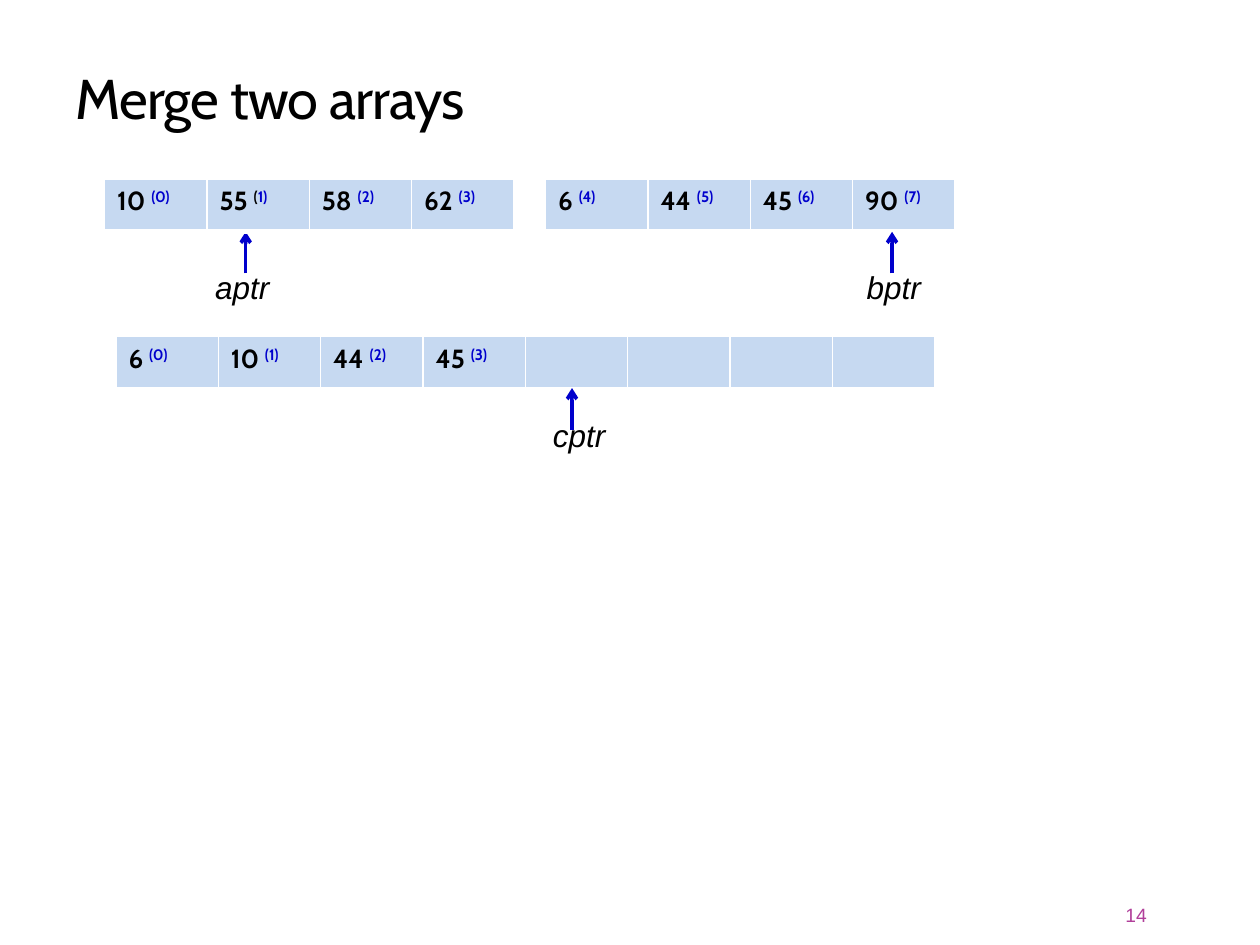
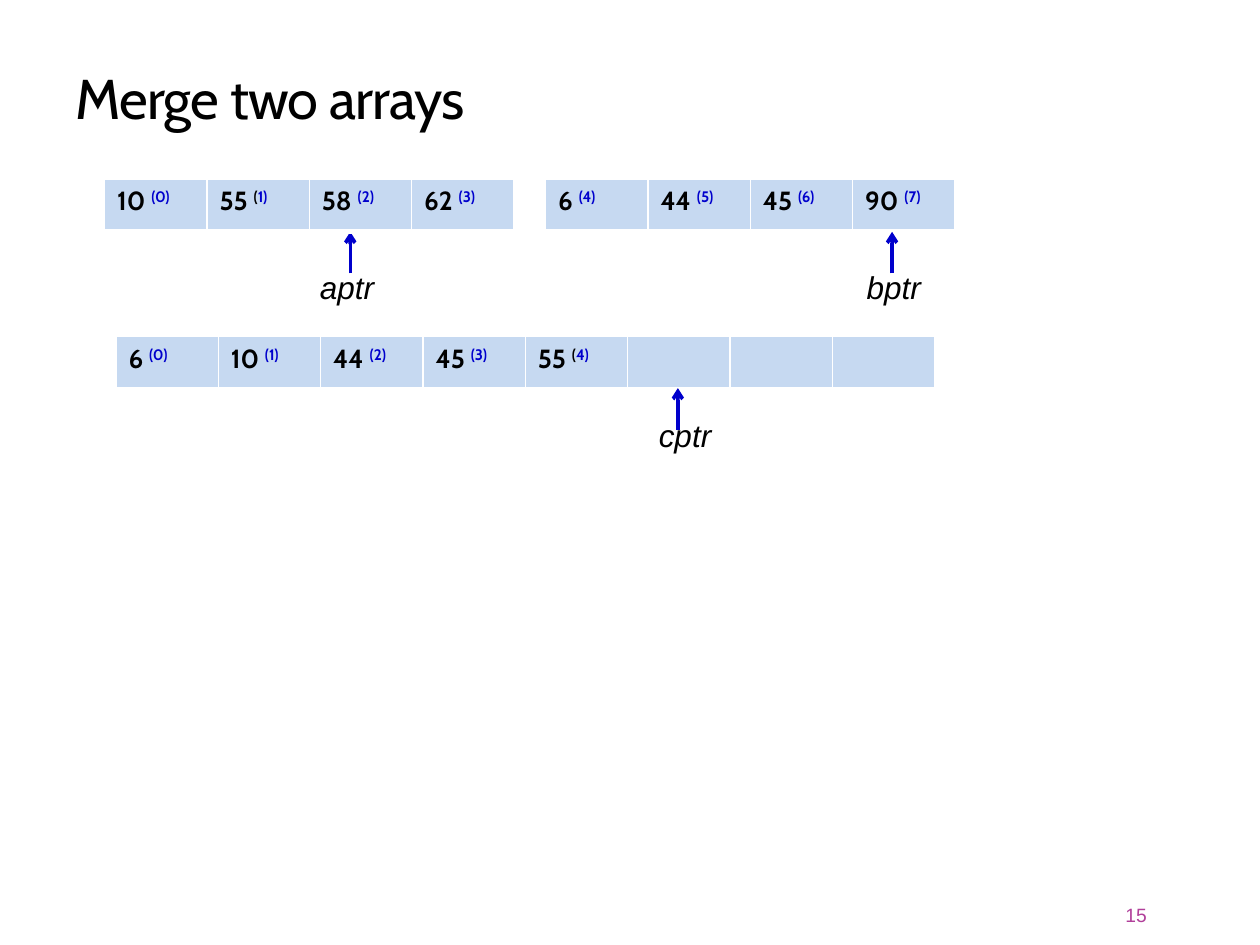
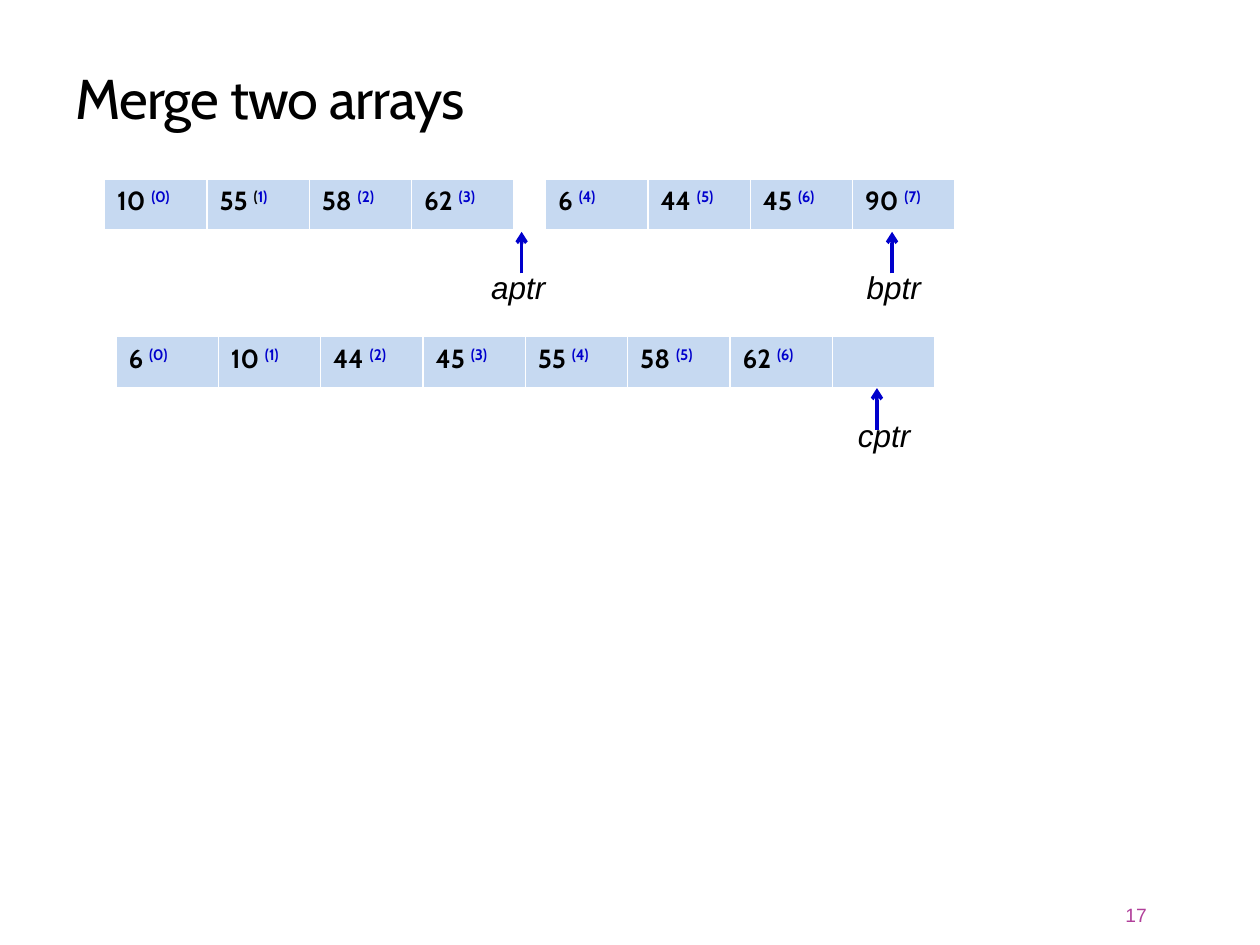
import pptx
import pptx.dml.color
import pptx.enum.shapes
import pptx.enum.text
import pptx.oxml.ns
import pptx.util
from lxml import etree

Inches = pptx.util.Inches
Pt = pptx.util.Pt
RGBColor = pptx.dml.color.RGBColor
qn = pptx.oxml.ns.qn
MSO_ANCHOR = pptx.enum.text.MSO_ANCHOR
PP_ALIGN = pptx.enum.text.PP_ALIGN

BLACK = RGBColor(0x00, 0x00, 0x00)
WHITE = RGBColor(0xFF, 0xFF, 0xFF)
BLUE = RGBColor(0x00, 0x00, 0xCC)
CELL_BLUE = RGBColor(0xC6, 0xD9, 0xF1)
PAGE_PINK = RGBColor(0xB1, 0x3F, 0x9A)
HEADING_FONT = "Cabin"
LABEL_FONT = "Arial"

CELL_WIDTH = 6.5 / 8
CELL_HEIGHT = 0.42
ARROW_LENGTH = 0.33
BORDER_WIDTHS = {"a:lnL": 1, "a:lnR": 1, "a:lnT": 1, "a:lnB": 3}

FIRST_ARRAY = [10, 55, 58, 62]
SECOND_ARRAY = [6, 44, 45, 90]
MERGED_ARRAY = [6, 10, 44, 45, 55, 58, 62]
MERGED_SLOTS = 8

# page, aptr x, cptr x, merged count, merged indexes with a dark bracket
STEPS = [
    (14, 1.95, 4.54, 4, ()),
    (15, 2.78, 5.38, 5, (4,)),
    (17, 4.14, 6.96, 7, ()),
]


def style_run(run, size, font_name, color):
    run.font.size = Pt(size)
    run.font.name = font_name
    run.font.color.rgb = color


def add_text(slide, text, left, top, width, height, size, font_name, color, wrap=True):
    box = slide.shapes.add_textbox(Inches(left), Inches(top), Inches(width), Inches(height))
    box.text_frame.text = text
    box.text_frame.word_wrap = wrap
    paragraph = box.text_frame.paragraphs[0]
    style_run(paragraph.runs[0], size, font_name, color)
    return box.text_frame, paragraph


def add_title(slide, text):
    text_frame, paragraph = add_text(slide, text, 0.5, 0.17, 7.92, 0.92, 32, HEADING_FONT, BLACK)
    text_frame.vertical_anchor = MSO_ANCHOR.BOTTOM
    paragraph.line_spacing = 0.85
    paragraph.runs[0].font._element.set("spc", "-50")


def add_page_number(slide, number):
    text_frame, paragraph = add_text(
        slide, str(number), 8.12, 7.06, 1.08, 0.4, 11, LABEL_FONT, PAGE_PINK)
    text_frame.vertical_anchor = MSO_ANCHOR.MIDDLE
    paragraph.alignment = PP_ALIGN.RIGHT


def style_cell(cell):
    properties = cell._tc.get_or_add_tcPr()
    for tag, width in BORDER_WIDTHS.items():
        border = etree.SubElement(properties, qn(tag), w=str(Pt(width)))
        fill = etree.SubElement(border, qn("a:solidFill"))
        etree.SubElement(fill, qn("a:srgbClr"), val=str(WHITE))
    cell.fill.solid()
    cell.fill.fore_color.rgb = CELL_BLUE


def write_cell(cell, value, index, dark_bracket):
    paragraph = cell.text_frame.paragraphs[0]
    parts = [(f"{value} ", BLACK, False)]
    if dark_bracket:
        parts += [("(", BLACK, True), (f"{index})", BLUE, True)]
    else:
        parts.append((f"({index})", BLUE, True))
    for text, color, raised in parts:
        run = paragraph.add_run()
        run.text = text
        style_run(run, 15, HEADING_FONT, color)
        run.font.bold = True
        if raised:
            run.font._element.set("baseline", "30000")


def add_array(slide, left, top, values, slots, first_index=0, dark_indexes=()):
    frame = slide.shapes.add_table(
        1, slots, Inches(left), Inches(top), Inches(slots * CELL_WIDTH), Inches(CELL_HEIGHT))
    table = frame.table
    table.first_row = False
    table.horz_banding = False
    for column in range(slots):
        style_cell(table.cell(0, column))
    for column, value in enumerate(values):
        index = first_index + column
        write_cell(table.cell(0, column), value, index, index in dark_indexes)


def add_pointer(slide, name, x, tip, label_offset, label_top, label_width):
    arrow = slide.shapes.add_connector(
        pptx.enum.shapes.MSO_CONNECTOR.STRAIGHT,
        Inches(x), Inches(tip + ARROW_LENGTH), Inches(x), Inches(tip))
    arrow.line.color.rgb = BLUE
    arrow.line.width = Pt(2)
    etree.SubElement(arrow.line._get_or_add_ln(), qn("a:tailEnd"), type="arrow")
    etree.SubElement(arrow._element.spPr, qn("a:effectLst"))
    text_frame, paragraph = add_text(
        slide, name, x - label_offset, label_top, label_width, 0.4, 18, LABEL_FONT, BLACK, wrap=False)
    paragraph.runs[0].font.italic = True


def add_merge_slide(presentation, page, aptr_x, cptr_x, merged_count, dark_indexes):
    slide = presentation.slides.add_slide(presentation.slide_layouts[6])
    add_title(slide, "Merge two arrays")
    add_array(slide, 0.92, 2.67, MERGED_ARRAY[:merged_count], MERGED_SLOTS,
              dark_indexes=dark_indexes)
    add_pointer(slide, "aptr", aptr_x, 1.84, 0.34, 2.08, 0.64)
    add_pointer(slide, "cptr", cptr_x, 3.08, 0.25, 3.25, 0.62)
    add_array(slide, 0.83, 1.42, FIRST_ARRAY, len(FIRST_ARRAY), dark_indexes=(1,))
    add_array(slide, 4.33, 1.42, SECOND_ARRAY, len(SECOND_ARRAY), len(FIRST_ARRAY))
    add_pointer(slide, "bptr", 7.08, 1.84, 0.3, 2.08, 0.64)
    add_page_number(slide, page)


def main():
    presentation = pptx.Presentation()
    presentation.slide_width = Inches(10)
    presentation.slide_height = Inches(7.5)
    for step in STEPS:
        add_merge_slide(presentation, *step)
    presentation.save("out.pptx")


if __name__ == "__main__":
    main()
